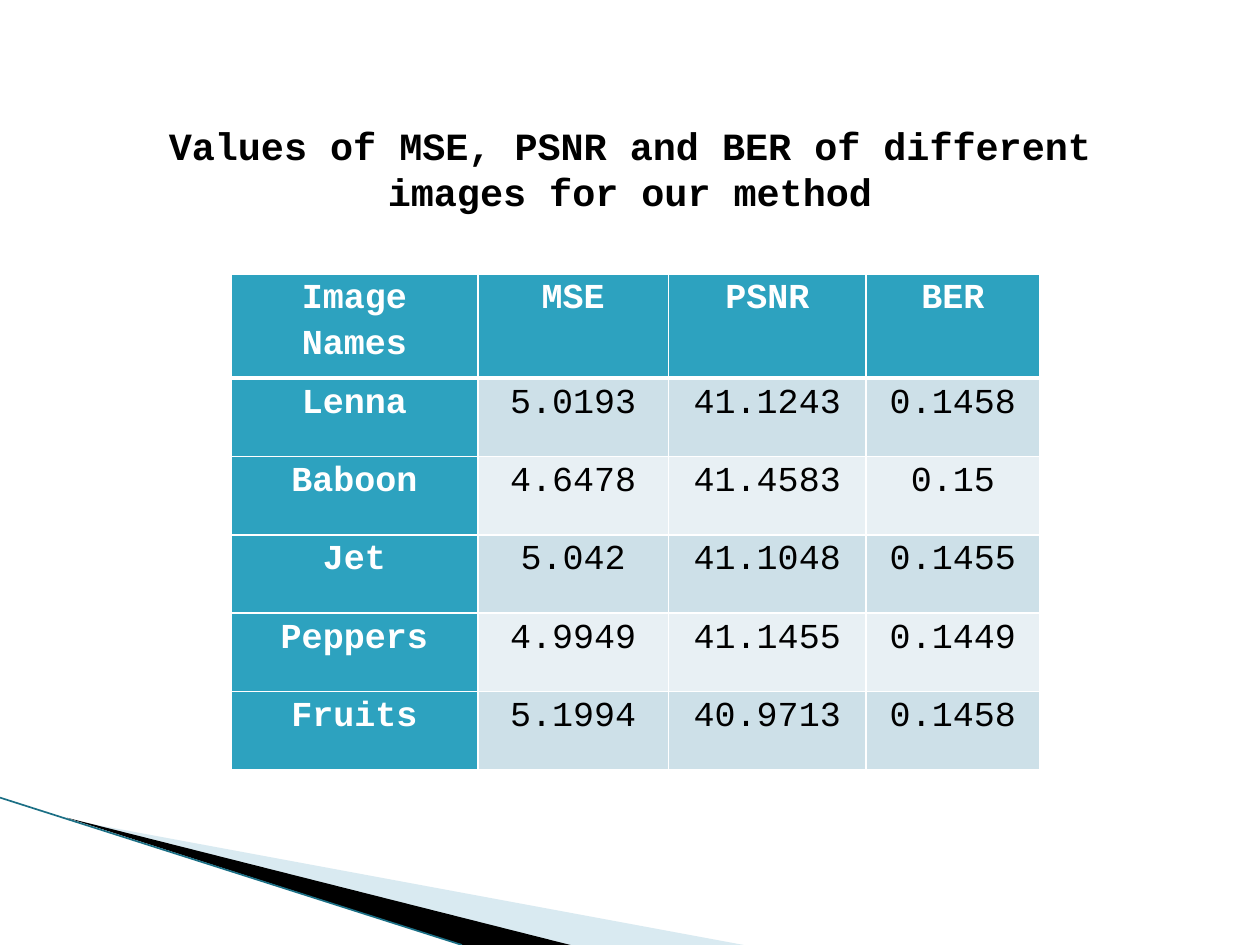
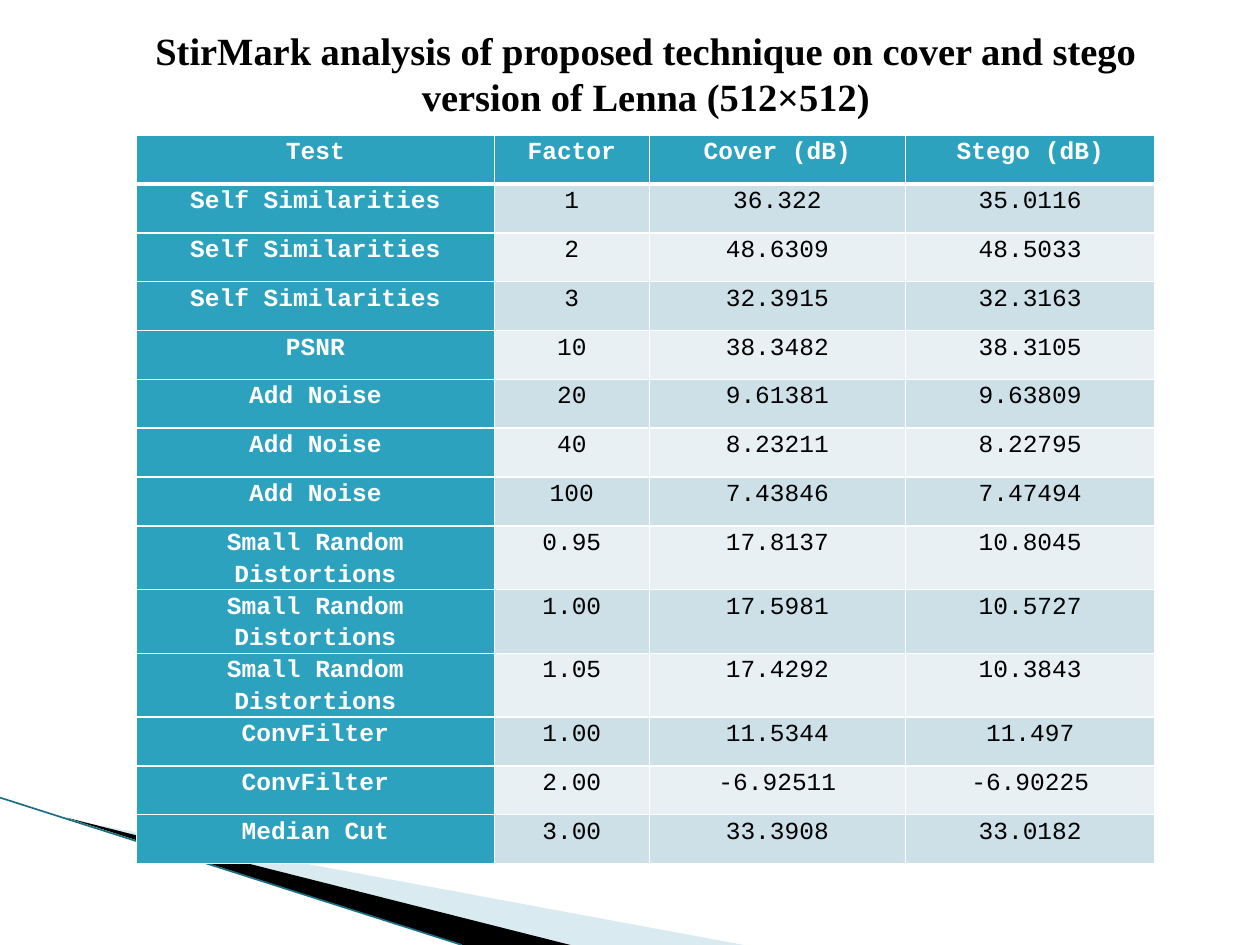
from dataclasses import dataclass

from lxml import etree
from pptx import Presentation
from pptx import util as u
from pptx.dml.color import RGBColor
from pptx.enum import shapes, text
from pptx.oxml import ns

Pt = u.Pt


@dataclass(frozen=True)
class Theme:
    ink: str = "000000"
    paper: str = "FFFFFF"
    accent: str = "2DA2BF"
    bands: tuple = ("CDE0E8", "E8F0F4")
    pale: str = "A0CBDC"
    edge: str = "1B6F85"
    mono: str = "Courier New"
    serif: str = "Times New Roman"
    title_size: int = 22
    large_cell: int = 20
    small_cell: int = 14


def rgb(value):
    return RGBColor.from_string(value)


class Deck:
    """Holds the style and the slide being built."""

    def __init__(self, theme):
        self.theme = theme
        self.prs = Presentation()
        self.prs.slide_width, self.prs.slide_height = Pt(720), Pt(540)
        self.s = None

    def new_slide(self):
        self.s = self.prs.slides.add_slide(self.prs.slide_layouts[6])
        self.corner_wedges()

    # Decoration shared by all slides
    def corner_wedges(self):
        t = self.theme
        self.wedge([(39.6, 468.5), (425, 540), (325.5, 540)], t.pale, 40)
        self.wedge([(38.2, 467.3), (326, 540), (264, 540)], t.ink)
        self.line((0, 455.8), (264, 540), t.edge, 0.95)

    def wedge(self, points, color, opacity=100):
        points = [(Pt(x), Pt(y)) for x, y in points]
        builder = self.s.shapes.build_freeform(*points[0])
        builder.add_line_segments(points[1:], close=True)
        sp = builder.convert_to_shape()
        sp.shadow.inherit = False
        sp.line.fill.background()
        sp.fill.solid()
        sp.fill.fore_color.rgb = rgb(color)
        if opacity < 100:
            clr = sp.fill._xPr.find(".//" + ns.qn("a:srgbClr"))
            etree.SubElement(clr, ns.qn("a:alpha"), val=str(opacity * 1000))

    def line(self, start, end, color, width):
        sp = self.s.shapes.add_connector(
            shapes.MSO_CONNECTOR.STRAIGHT, *map(Pt, start + end))
        sp.line.color.rgb = rgb(color)
        sp.line.width = Pt(width)
        etree.SubElement(sp._element.spPr, ns.qn("a:effectLst"))

    # Text
    def style(self, p, size, font, color, bold):
        p.alignment = text.PP_ALIGN.CENTER
        p.font.size, p.font.name, p.font.bold = Pt(size), font, bold
        p.font.color.rgb = rgb(color)

    def title(self, words, box, font):
        tf = self.s.shapes.add_textbox(*map(Pt, box)).text_frame
        tf.word_wrap = True
        tf.text = words
        self.style(tf.paragraphs[0], self.theme.title_size, font,
                   self.theme.ink, True)

    # Tables
    def table(self, rows, origin, widths, heights, size):
        frame = self.s.shapes.add_table(
            len(rows), len(widths), *map(Pt, origin),
            Pt(sum(widths)), Pt(sum(heights)))
        table = frame.table
        table.first_col = True
        table.horz_banding = False
        for column, width in zip(table.columns, widths):
            column.width = Pt(width)
        for i, (row, values) in enumerate(zip(table.rows, rows)):
            row.height = Pt(heights[i])
            for j, value in enumerate(values):
                self.cell(row.cells[j], value, i, j, size)

    def cell(self, cell, value, i, j, size):
        t = self.theme
        heading = i == 0 or j == 0
        cell.margin_left = cell.margin_right = Pt(5)
        cell.margin_top = cell.margin_bottom = 0
        cell.text = value
        p = cell.text_frame.paragraphs[0]
        p.line_spacing = 1.15
        self.style(p, size, t.mono, t.paper if heading else t.ink, heading)
        # The rule below the header row is heavier
        self.borders(cell, top=3 if i == 1 else 1, bottom=3 if i == 0 else 1)
        cell.fill.solid()
        cell.fill.fore_color.rgb = rgb(
            t.accent if heading else t.bands[(i - 1) % 2])

    def borders(self, cell, top, bottom):
        tc_pr = cell._tc.get_or_add_tcPr()
        for side, width in zip("LRTB", (1, 1, top, bottom)):
            ln = etree.SubElement(tc_pr, ns.qn("a:ln" + side), w=str(Pt(width)))
            fill = etree.SubElement(ln, ns.qn("a:solidFill"))
            etree.SubElement(fill, ns.qn("a:srgbClr"), val=self.theme.paper)


QUALITY = [
    ("Image Names", "MSE", "PSNR", "BER"),
    ("Lenna", "5.0193", "41.1243", "0.1458"),
    ("Baboon", "4.6478", "41.4583", "0.15"),
    ("Jet", "5.042", "41.1048", "0.1455"),
    ("Peppers", "4.9949", "41.1455", "0.1449"),
    ("Fruits", "5.1994", "40.9713", "0.1458"),
]

STIRMARK = [
    ("Test", "Factor", "Cover (dB)", "Stego (dB)"),
    ("Self Similarities", "1", "36.322", "35.0116"),
    ("Self Similarities", "2", "48.6309", "48.5033"),
    ("Self Similarities", "3", "32.3915", "32.3163"),
    ("PSNR", "10", "38.3482", "38.3105"),
    ("Add Noise", "20", "9.61381", "9.63809"),
    ("Add Noise", "40", "8.23211", "8.22795"),
    ("Add Noise", "100", "7.43846", "7.47494"),
    ("Small Random Distortions", "0.95", "17.8137", "10.8045"),
    ("Small Random Distortions", "1.00", "17.5981", "10.5727"),
    ("Small Random Distortions", "1.05", "17.4292", "10.3843"),
    ("ConvFilter", "1.00", "11.5344", "11.497"),
    ("ConvFilter", "2.00", "-6.92511", "-6.90225"),
    ("Median Cut", "3.00", "33.3908", "33.0182"),
]


def main():
    theme = Theme()
    deck = Deck(theme)

    # Image quality values
    deck.new_slide()
    deck.table(QUALITY, (132, 156.5), (141, 109, 113, 99),
               [59.5] + [44.8] * (len(QUALITY) - 1), theme.large_cell)
    deck.title("Values of MSE, PSNR and BER of different images for our method",
               (72, 66, 576, 60.5), theme.mono)

    # StirMark analysis
    deck.new_slide()
    deck.table(STIRMARK, (78, 77.3), (204.5, 88.5, 146.5, 142.5),
               [27.9] * len(STIRMARK), theme.small_cell)
    deck.title("StirMark analysis of proposed technique on cover and stego "
               "version of Lenna (512×512)",
               (57, 12, 624, 87), theme.serif)

    deck.prs.save("out.pptx")


if __name__ == "__main__":
    main()
